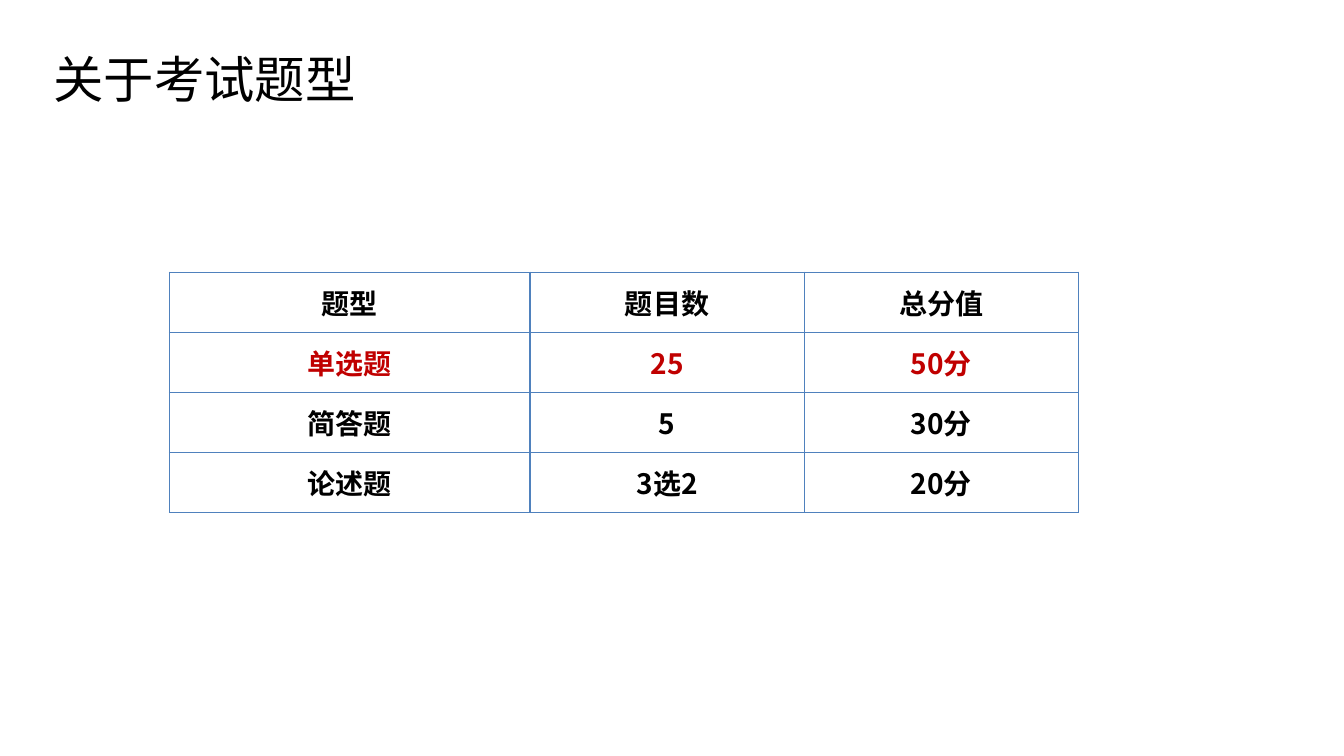
from pptx import Presentation
from pptx.dml.color import RGBColor as Rgb
from pptx.enum.text import MSO_ANCHOR as Anchor, PP_ALIGN as Align
from pptx.oxml.ns import qn
from pptx.util import Pt
from lxml.etree import SubElement as Sub

TITLE = "关于考试题型"
ROWS = [
    ("题型", "题目数", "总分值"),
    ("单选题", "25", "50分"),
    ("简答题", "5", "30分"),
    ("论述题", "3选2", "20分"),
]
HOT_ROW = 1

THEME = {
    "ink": "000000", "hot": "C00000", "rule": "4F81BD", "rule_width": 1,
    "title_font": "Calibri", "title_size": 36,
    "cell_font": "Noto Sans CJK SC", "cell_size": 20,
}

SLIDE = (960, 540)
TITLE_BOX = (31, 36, 732, 42.5)
GRID_LEFT, GRID_TOP = 121, 194.5
COLS = (257.6, 195.8, 195.8)
ROW_HEIGHT = 42.85


def style(run, look, color):
    for name, value in look.items():
        setattr(run.font, name, value)
    run.font.color.rgb = Rgb.from_string(color)
    Sub(run.font._element, qn("a:ea"), typeface=THEME["cell_font"])


def frame(cell):
    """Draw a line on all four sides of the cell and leave it unfilled."""
    props = cell._tc.get_or_add_tcPr()
    for side in ("lnL", "lnR", "lnT", "lnB"):
        line = Sub(props, qn(f"a:{side}"), w=str(Pt(THEME["rule_width"])))
        fill = Sub(line, qn("a:solidFill"))
        Sub(fill, qn("a:srgbClr"), val=THEME["rule"])
    cell.fill.background()


def add_title(slide):
    text = slide.shapes.add_textbox(*map(Pt, TITLE_BOX)).text_frame
    text.word_wrap = True
    text.vertical_anchor = Anchor.TOP
    para = text.paragraphs[0]
    para.line_spacing = 0.9
    run = para.add_run()
    run.text = TITLE
    look = {"name": THEME["title_font"], "size": Pt(THEME["title_size"])}
    style(run, look, THEME["ink"])


def add_grid(slide):
    box = (GRID_LEFT, GRID_TOP, sum(COLS), ROW_HEIGHT * len(ROWS))
    table = slide.shapes.add_table(
        len(ROWS), len(COLS), *map(Pt, box)).table
    table.first_row = table.horz_banding = False
    for col, width in zip(table.columns, COLS):
        col.width = Pt(width)
    look = {"name": THEME["cell_font"], "size": Pt(THEME["cell_size"]),
            "bold": True}
    for r, words in enumerate(ROWS):
        table.rows[r].height = Pt(ROW_HEIGHT)
        color = THEME["hot" if r == HOT_ROW else "ink"]
        for c, word in enumerate(words):
            cell = table.cell(r, c)
            cell.vertical_anchor = Anchor.MIDDLE
            frame(cell)
            para = cell.text_frame.paragraphs[0]
            para.alignment = Align.CENTER
            run = para.add_run()
            run.text = word
            style(run, look, color)


def main():
    deck = Presentation()
    deck.slide_width, deck.slide_height = map(Pt, SLIDE)
    slide = deck.slides.add_slide(deck.slide_layouts[6])
    add_title(slide)
    add_grid(slide)
    deck.save("out.pptx")


if __name__ == "__main__":
    main()
